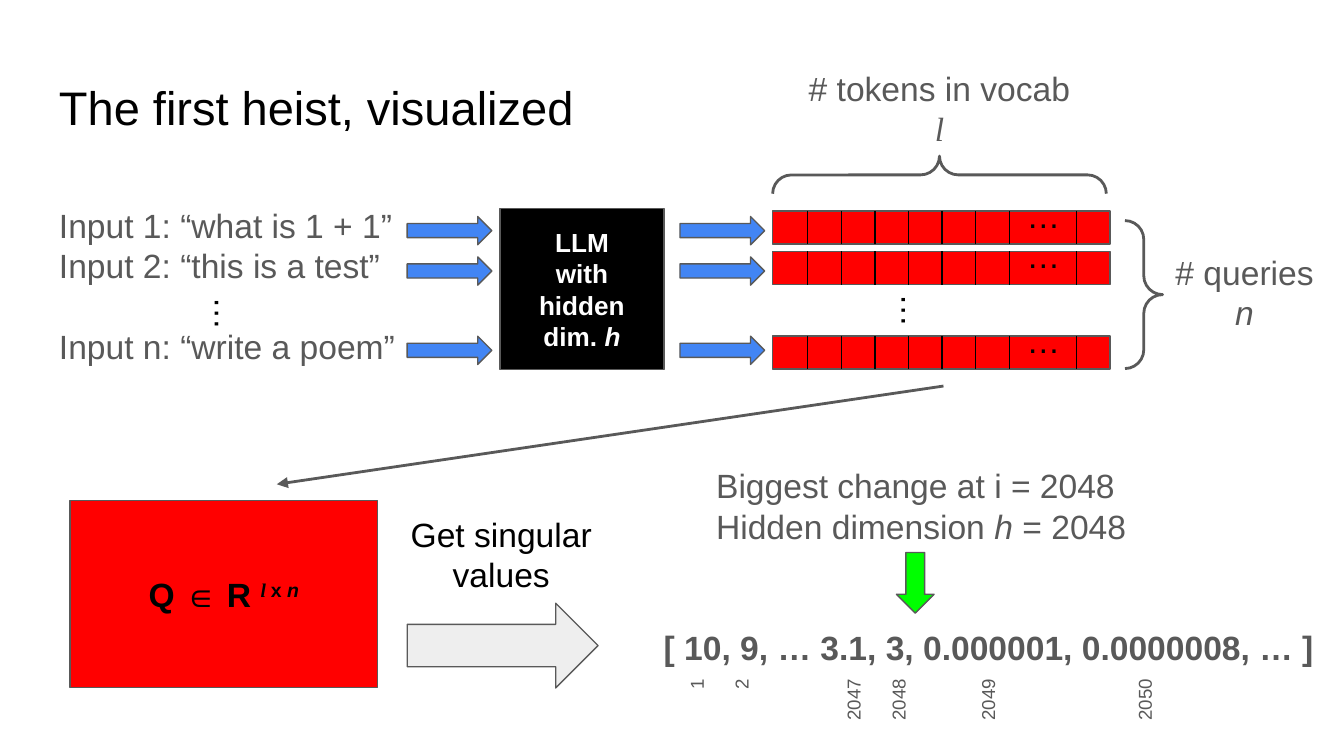
import pptx
import pptx.util
import pptx.dml.color
import pptx.enum.shapes
import pptx.enum.text
import pptx.oxml
import pptx.oxml.ns

SHAPE = pptx.enum.shapes.MSO_SHAPE
ALIGN = pptx.enum.text.PP_ALIGN
ANCHOR = pptx.enum.text.MSO_ANCHOR
WIDTH = pptx.util.Inches(10)
HEIGHT = WIDTH * 9 // 16
COLORS = {"black": "000000", "white": "FFFFFF", "gray": "595959", "pale": "EEEEEE",
          "red": "FF0000", "blue": "4285F4", "green": "00FF00"}
LINE_PITCH = 1.2  # line height as a multiple of the text size

# Every frame is (left, top, width, height) in percent of the slide.
# A paragraph is a list of (text, flags): b bold, i italic, t Times, s superscript.
TEXTS = [
    {"frame": (3.4, 8.65, 41.1, 11.21), "size": 25.2, "color": "black",
     "lines": [[("The first heist, visualized", "")]]},
    {"frame": (3.4, 25.27, 34.2, 24.73), "gaps": [0, 0, 1],
     "lines": [[("Input 1: “what is 1 + 1”", "")], [("Input 2: “this is a test”", "")],
               [("Input n: “write a poem”", "")]]},
    {"frame": (13, 37.01, 4.5, 8.9), "color": "black", "turn": 270, "lines": [[("…", "")]]},
    {"frame": (64.1, 36.65, 4.5, 8.9), "color": "black", "turn": 270, "lines": [[("…", "")]]},
    {"frame": (58.9, 7.15, 22, 14.41), "align": ALIGN.CENTER,
     "lines": [[("# tokens in vocab", "")], [("l", "it")]]},
    {"frame": (85.7, 31.49, 13.8, 14.41), "align": ALIGN.CENTER,
     "lines": [[("# queries", "")], [("n", "i")]]},
    {"frame": (28.3, 66.19, 18, 14.41), "color": "black", "align": ALIGN.CENTER,
     "lines": [[("Get singular values", "")]]},
    {"frame": (48.4, 81.1, 51.8, 8.9),
     "lines": [[("[ 10, 9, … 3.1, 3, 0.000001, 0.0000008, … ]", "b")]]},
    {"frame": (52.3, 59.79, 34.2, 11.21),
     "lines": [[("Biggest change at i = 2048", "")],
               [("Hidden dimension ", ""), ("h", "i"), (" = 2048", "")]]},
    {"frame": (63.7, 63.7, 10, 66.55), "size": 10, "turn": 270, "align": ALIGN.RIGHT,
     "gaps": [0, 1, 4, 1, 3, 6],
     "lines": [[(index, "")] for index in ("1", "2", "2047", "2048", "2049", "2050")]},
]
BLOCKS = [
    {"frame": (37.2, 27.58, 12.2, 21.35), "fill": "black", "size": 14, "color": "white",
     "lines": [[("LLM", "b")], [("with hidden dim. ", "b"), ("h", "bi")]]},
    {"frame": (5.2, 66.19, 22.9, 24.73), "fill": "red", "size": 18, "color": "black",
     "lines": [[("Q ∈ R ", "b"), ("l ", "bits"), ("x ", "bs"), ("n", "bis")]]},
]
BRACES = [((68.5, 1.07, 2.8, 44.13), 90), ((83.7, 29.18, 2.8, 19.57), 180)]
ARROWS = [(SHAPE.RIGHT_ARROW, (30.3, 79.8, 14.2, 11.21), "pale"),
          (SHAPE.DOWN_ARROW, (66.7, 73.1, 2.8, 8.01), "green")]
QUERY_ARROW_LEFTS, QUERY_ARROW_TOPS = (30.3, 50.6), (28.65, 33.99, 44.48)
QUERY_ARROW_SIZE = (6.3, 3.74)
LOGIT_TOPS = (27.9, 33.25, 44.44)
LOGIT_LEFT, LOGIT_SIZE, CELL_WIDTH = 57.5, (25.1, 4.4), 2.5
DIVIDERS = (1, 2, 3, 4, 5, 6, 7, 9)
MATRIX_LINE = ((70.2, 51.07), (20.6, 64.06))


def rgb(name):
    return pptx.dml.color.RGBColor.from_string(COLORS[name])


def place(frame):
    """Turn percent pairs of (across, down) into slide lengths."""
    return [int(share * (HEIGHT if i % 2 else WIDTH) / 100) for i, share in enumerate(frame)]


def write(shape, lines, size=18, color="gray", align=ALIGN.LEFT, gaps=None):
    """Fill a shape with paragraphs; gaps counts the free lines above each one."""
    frame = shape.text_frame
    frame.word_wrap = True
    frame.margin_left = frame.margin_right = pptx.util.Inches(0.1)
    frame.margin_top = frame.margin_bottom = pptx.util.Inches(0.1)
    for number, line in enumerate(lines):
        para = frame.add_paragraph() if number else frame.paragraphs[0]
        para.alignment = align
        if gaps and gaps[number]:
            para.space_before = pptx.util.Pt(gaps[number] * size * LINE_PITCH)
        for text, flags in line:
            span = para.add_run()
            span.text = text
            span.font.size = pptx.util.Pt(size)
            span.font.name = "Times New Roman" if "t" in flags else "Arial"
            span.font.color.rgb = rgb(color)
            span.font.bold = "b" in flags
            span.font.italic = "i" in flags
            if "s" in flags:
                span.font._element.set("baseline", "30000")


def add_text(shapes, frame, turn=0, **style):
    box = shapes.add_textbox(*place(frame))
    box.rotation = turn
    write(box, **style)


def add_block(shapes, kind, frame, fill=None, weight=0.75):
    block = shapes.add_shape(kind, *place(frame))
    block.shadow.inherit = False
    if fill:
        block.fill.solid()
        block.fill.fore_color.rgb = rgb(fill)
    else:
        block.fill.background()
    block.line.color.rgb = rgb("gray")
    block.line.width = pptx.util.Pt(weight)
    return block


def add_line(shapes, start, end, color, weight):
    line = shapes.add_connector(pptx.enum.shapes.MSO_CONNECTOR.STRAIGHT,
                                *place(start), *place(end))
    line.line.color.rgb = rgb(color)
    line.line.width = pptx.util.Pt(weight)
    line._element.spPr.append(pptx.oxml.parse_xml(
        "<a:effectLst %s/>" % pptx.oxml.ns.nsdecls("a")))
    return line


def add_logit_row(slide, top):
    """Draw one output vector as a grouped bar of cells."""
    parts = slide.shapes.add_group_shape().shapes
    width, height = LOGIT_SIZE
    add_block(parts, SHAPE.RECTANGLE, (LOGIT_LEFT, top, width, height), "red")
    for column in DIVIDERS:
        x = LOGIT_LEFT + 0.1 + column * CELL_WIDTH
        add_line(parts, (x, top), (x, top + height), "black", 0.75)
    add_text(parts, (75.4, top - 3.91, 4.5, 8.9), color="black", lines=[[("…", "")]])


def main():
    deck = pptx.Presentation()
    deck.slide_width, deck.slide_height = WIDTH, HEIGHT
    slide = deck.slides.add_slide(deck.slide_layouts[6])
    shapes = slide.shapes

    for block in BLOCKS:
        shape = add_block(shapes, SHAPE.RECTANGLE, block["frame"], block["fill"])
        shape.text_frame.vertical_anchor = ANCHOR.MIDDLE
        write(shape, block["lines"], block["size"], block["color"], ALIGN.CENTER)
    for top in LOGIT_TOPS:
        add_logit_row(slide, top)
    for left in QUERY_ARROW_LEFTS:
        for top in QUERY_ARROW_TOPS:
            add_block(shapes, SHAPE.RIGHT_ARROW, (left, top, *QUERY_ARROW_SIZE), "blue")
    for kind, frame, fill in ARROWS:
        add_block(shapes, kind, frame, fill)
    for frame, turn in BRACES:
        brace = add_block(shapes, SHAPE.LEFT_BRACE, frame, weight=1.5)
        brace.rotation = turn
        brace.adjustments[0] = brace.adjustments[1] = 0.5
    pointer = add_line(shapes, *MATRIX_LINE, "gray", 1.5)
    pointer.line._get_or_add_ln().append(pptx.oxml.parse_xml(
        '<a:tailEnd %s type="triangle"/>' % pptx.oxml.ns.nsdecls("a")))
    for text in TEXTS:
        add_text(shapes, **text)

    deck.save("out.pptx")


if __name__ == "__main__":
    main()
